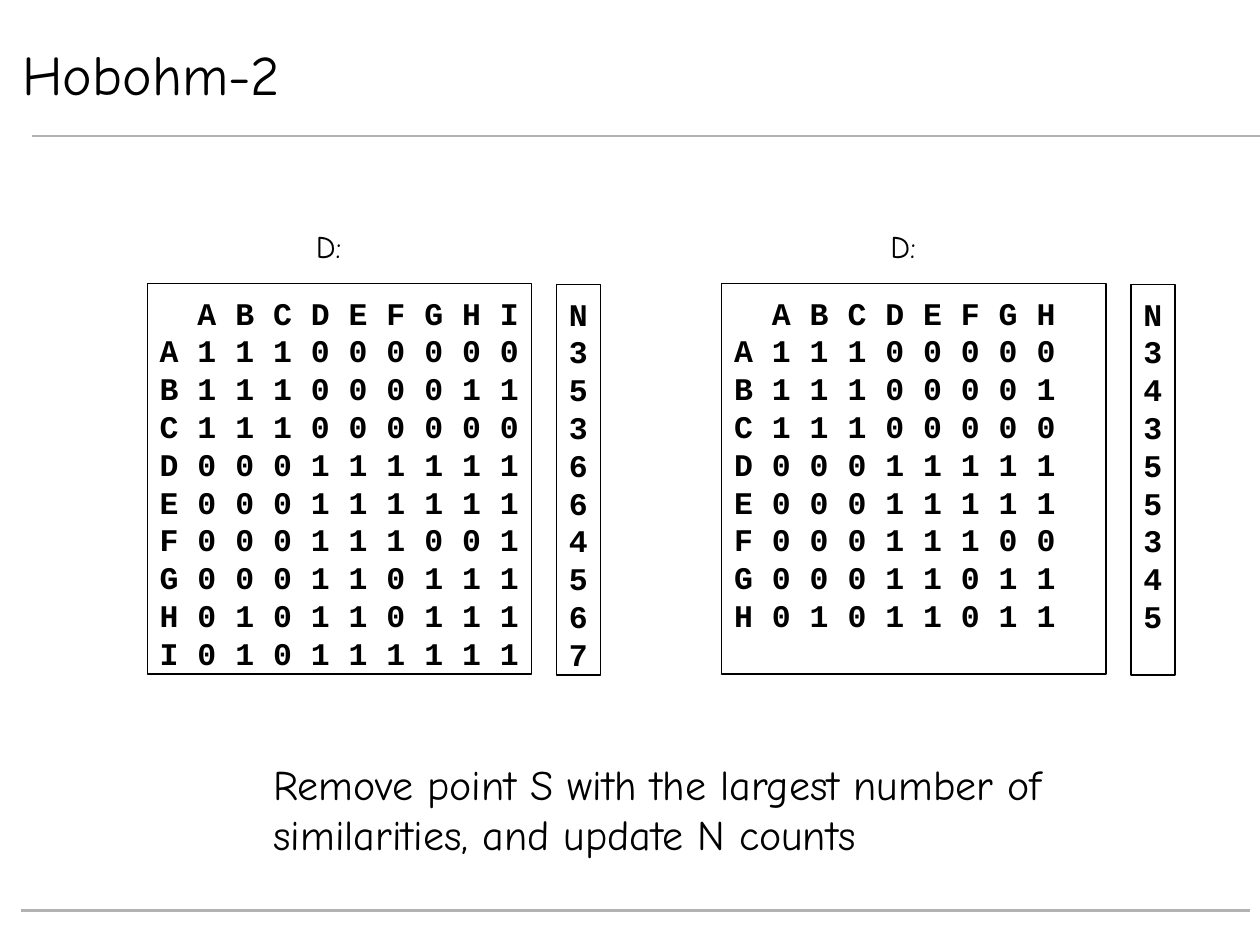
from lxml import etree
from pptx import Presentation
from pptx.dml.color import RGBColor
from pptx.enum import shapes, text
from pptx.util import Cm, Pt

MONO, HAND = "Courier New", "Comic Neue"
LINE_HEIGHT = 1.2


def color(hex_code):
    return RGBColor.from_string(hex_code)


def write(shape, lines, font, size, bold=False, top=0.13, right=0.25):
    """Fill a shape with left-aligned lines, one paragraph each."""
    frame = shape.text_frame
    frame.word_wrap = True
    frame.auto_size = text.MSO_AUTO_SIZE.NONE
    frame.vertical_anchor = text.MSO_ANCHOR.TOP
    frame.margin_left, frame.margin_right = Cm(0.25), Cm(right)
    frame.margin_top, frame.margin_bottom = Cm(top), Cm(0.13)
    for i, line in enumerate(lines):
        paragraph = frame.add_paragraph() if i else frame.paragraphs[0]
        paragraph.alignment = text.PP_ALIGN.LEFT
        paragraph.line_spacing = Pt(size * LINE_HEIGHT)
        run = paragraph.add_run()
        run.text = line
        run.font.name, run.font.size, run.font.bold = font, Pt(size), bold
        run.font.color.rgb = color("000000")


prs = Presentation()
prs.slide_width, prs.slide_height = Cm(25.4), Cm(19.05)
slide = prs.slides.add_slide(prs.slide_layouts[5])

# Rules above and below the content
for start, end, y in [(0.64, 25.4, 2.74), (0.43, 25.2, 18.36)]:
    rule = slide.shapes.add_connector(
        shapes.MSO_CONNECTOR.STRAIGHT, Cm(start), Cm(y), Cm(end), Cm(y))
    rule.line.color.rgb = color("B2B2B2")
    rule.line.width = Pt(1.5)
    etree.SubElement(
        rule._element.spPr,
        "{http://schemas.openxmlformats.org/drawingml/2006/main}effectLst")

title = slide.shapes.title
title.left, title.top, title.width, title.height = Cm(0.2), Cm(0.84), Cm(19.89), Cm(1.27)
title.fill.solid()
title.fill.fore_color.rgb = color("FFFFFF")
title.line.color.rgb = color("FFFFFF")
title.line.width = Pt(0.75)
write(title, ["Hobohm-2"], HAND, 32)
title.text_frame.vertical_anchor = text.MSO_ANCHOR.MIDDLE

# Similarity matrix; N counts the ones in each row
points = "ABCDEFGHI"
similarities = [
    "111000000",
    "111000011",
    "111000000",
    "000111111",
    "000111111",
    "000111001",
    "000110111",
    "010110111",
    "010111111",
]

# All nine points, then the eight left once I is removed
for left, size in [(2.97, 9), (14.55, 8)]:
    names = points[:size]
    rows = [row[:size] for row in similarities[:size]]
    matrix = [" ".join(names)] + [" ".join(name + row) for name, row in zip(names, rows)]
    counts = ["N"] + [str(row.count("1")) for row in rows]

    for x, y, width, lines in [(left, 5.72, 7.75, matrix), (left + 8.25, 5.74, 0.89, counts)]:
        box = slide.shapes.add_shape(
            shapes.MSO_SHAPE.RECTANGLE, Cm(x), Cm(y), Cm(width), Cm(7.87))
        box.shadow.inherit = False
        box.fill.background()
        box.line.color.rgb = color("000000")
        box.line.width = Pt(0.75)
        write(box, lines, MONO, 18, bold=True, top=0.2, right=0)
        if lines is matrix:
            # The header starts two characters in, past the row names
            header = box.text_frame.paragraphs[0]._p.get_or_add_pPr()
            header.set("marL", str(Pt(21.6)))
            header.set("indent", "0")

    label = slide.shapes.add_textbox(Cm(left + 3.15), Cm(4.44), Cm(1.22), Cm(1.02))
    write(label, ["D:"], HAND, 18)

step = slide.shapes.add_textbox(Cm(5.26), Cm(15.16), Cm(17.4), Cm(2.29))
write(step, ["Remove point S with the largest number of similarities, and update N counts"], HAND, 24)

prs.save("out.pptx")
